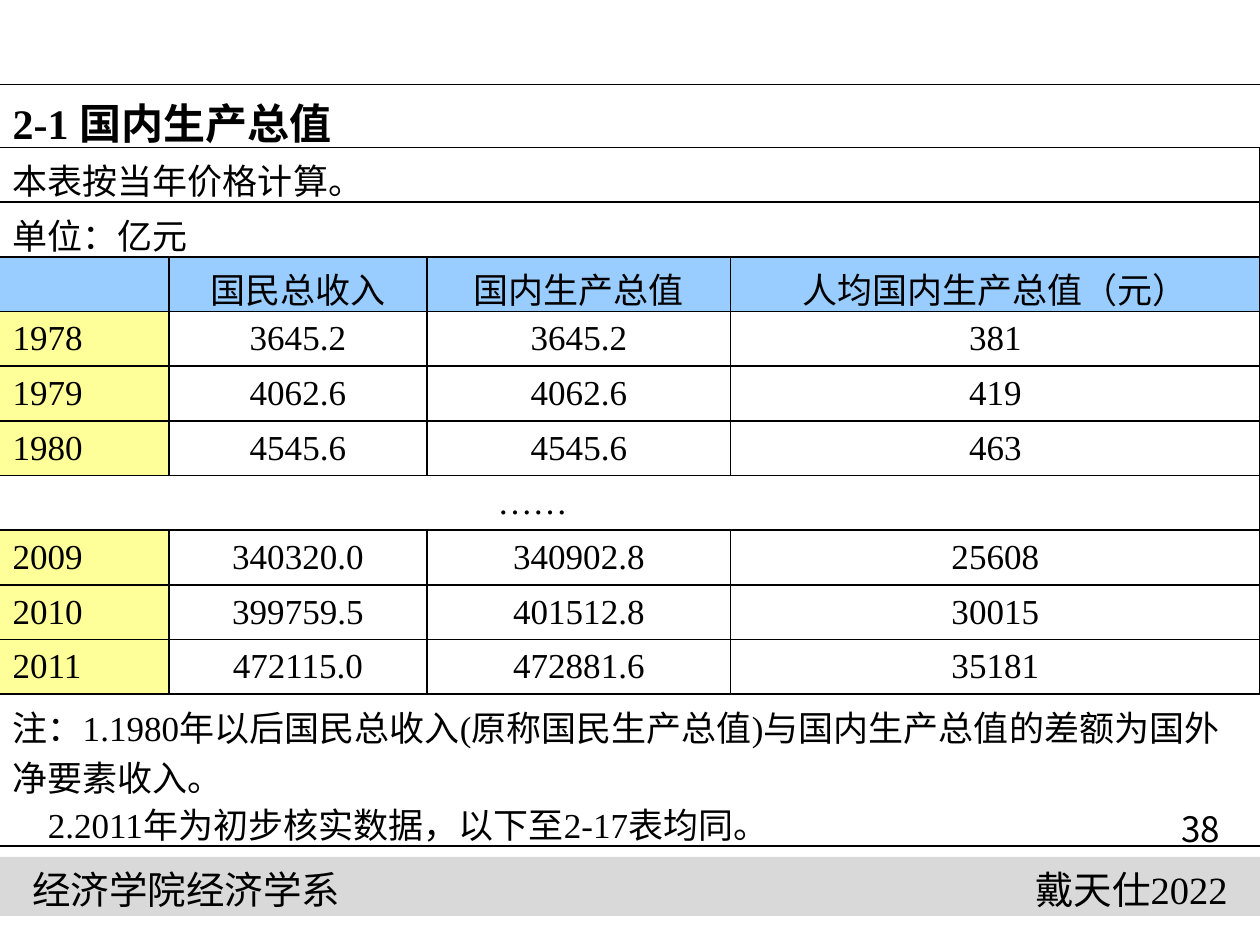
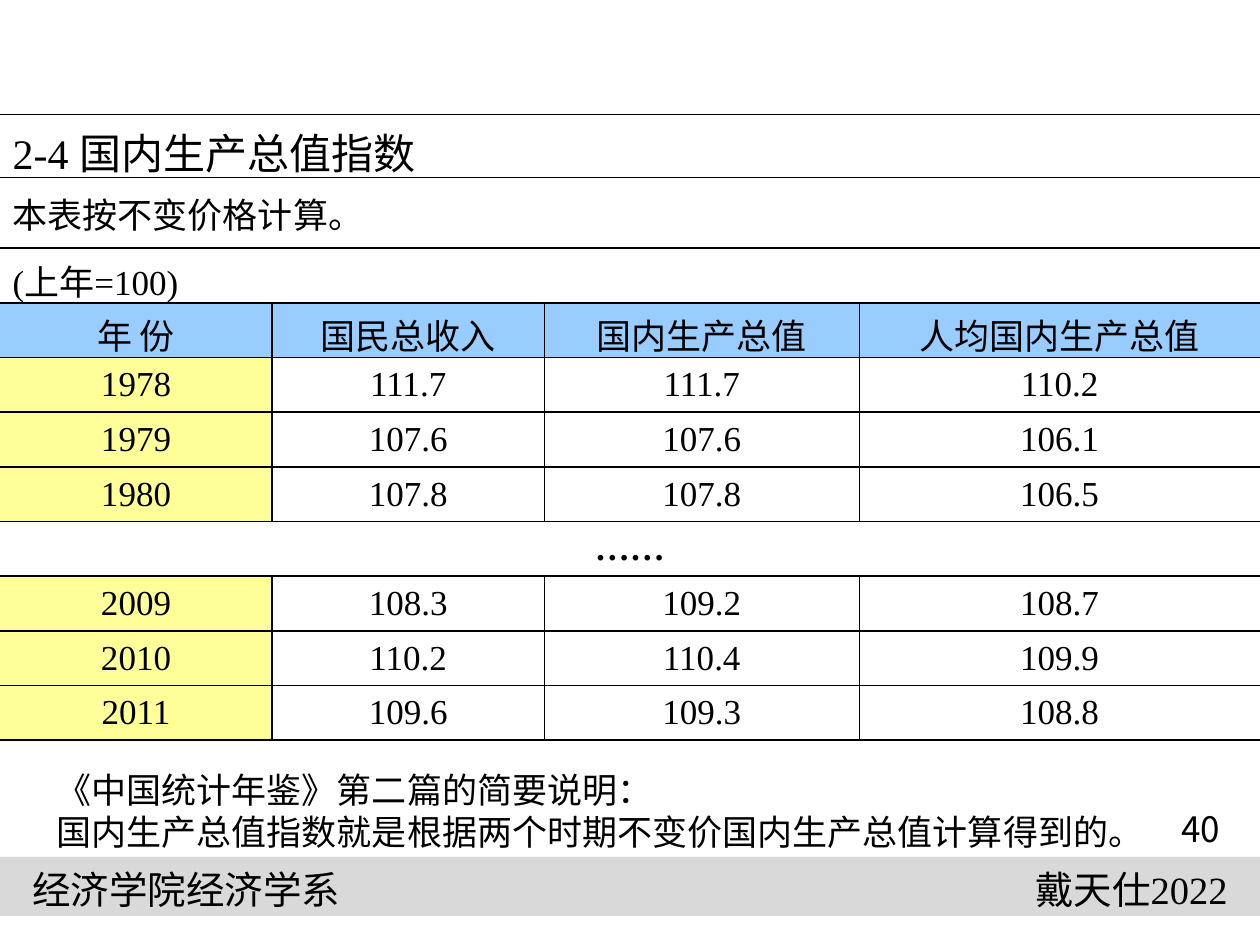
"""Build two slides of national accounts tables with a shared footer band."""
import pptx
import pptx.util
import pptx.oxml
import pptx.oxml.ns
import pptx.dml.color
import pptx.enum.shapes
import pptx.enum.text

Inches = pptx.util.Inches
Pt = pptx.util.Pt
ALIGN = pptx.enum.text.PP_ALIGN
ANCHOR = pptx.enum.text.MSO_ANCHOR

THEME = {
    "ink": "000000", "band": "D9D9D9", "header": "99CCFF", "label": "FFFF99",
    "serif": "Times New Roman", "cjk": "Noto Sans CJK SC", "sans": "Arial",
    "heading": 24, "body": 20, "footer": 22, "border": 1,
}
FOOTER_TOP, FOOTER_HEIGHT = 6.8, 0.47
FOOTER = [
    ((0.16, 3.05), "经济学院经济学系", "cjk", ALIGN.LEFT),
    ((7.42, 2.42), "戴天仕2022", "serif", ALIGN.RIGHT),
]
ROW_HEIGHT = 0.43
HEIGHTS = {"heading": 0.5}

SLIDES = [
    {
        "number": "38", "top": 0.67, "columns": [1.34, 2.05, 2.41, 4.2],
        "heading_bold": True, "label_align": ALIGN.LEFT, "right_edge": True,
        "rows": [
            ("heading", 4, ["2-1 国内生产总值"]),
            ("caption", 3, ["本表按当年价格计算。"]),
            ("caption", 2, ["单位：亿元"]),
            ("header", 1, ["", "国民总收入", "国内生产总值", "人均国内生产总值（元）"]),
            ("data", 1, ["1978", "3645.2", "3645.2", "381"]),
            ("data", 1, ["1979", "4062.6", "4062.6", "419"]),
            ("data", 1, ["1980", "4545.6", "4545.6", "463"]),
            ("gap", 1, ["", "", "……"]),
            ("data", 1, ["2009", "340320.0", "340902.8", "25608"]),
            ("data", 1, ["2010", "399759.5", "401512.8", "30015"]),
            ("data", 1, ["2011", "472115.0", "472881.6", "35181"]),
            ("note", 4, ["注：1.1980年以后国民总收入(原称国民生产总值)与国内生产总值的差额为国外净要素收入。"]),
            ("last note", 4, ["2.2011年为初步核实数据，以下至2-17表均同。"]),
        ],
        "heights": {"note": 0.77},
        "margins": {"gap": 0.56, "last note": 0.38},
        "remarks": [],
    },
    {
        "number": "40", "top": 0.91, "columns": [2.16, 2.16, 2.5, 3.18],
        "heading_bold": False, "label_align": ALIGN.CENTER, "right_edge": False,
        "rows": [
            ("heading", 4, ["2-4 国内生产总值指数"]),
            ("first caption", 2, ["本表按不变价格计算。"]),
            ("caption", 1, ["(上年=100)"]),
            ("header", 1, ["年 份", "国民总收入", "国内生产总值", "人均国内生产总值"]),
            ("data", 1, ["1978", "111.7", "111.7", "110.2"]),
            ("data", 1, ["1979", "107.6", "107.6", "106.1"]),
            ("data", 1, ["1980", "107.8", "107.8", "106.5"]),
            ("gap", 4, ["……"]),
            ("data", 1, ["2009", "108.3", "109.2", "108.7"]),
            ("data", 1, ["2010", "110.2", "110.4", "109.9"]),
            ("data", 1, ["2011", "109.6", "109.3", "108.8"]),
        ],
        "heights": {"first caption": 0.56},
        "margins": {},
        "remarks": ["《中国统计年鉴》第二篇的简要说明：",
                    "国内生产总值指数就是根据两个时期不变价国内生产总值计算得到的。"],
    },
]


def color(name):
    """Return a theme colour."""
    return pptx.dml.color.RGBColor.from_string(THEME[name])


def apply(target, values):
    """Set every attribute in a dict of format values."""
    for name, value in values.items():
        setattr(target, name, value)


def write(para, text, font, size, align, bold=False):
    """Fill a paragraph with one formatted span."""
    para.alignment = align
    span = para.add_run()
    span.text = text
    apply(span.font, {"name": THEME[font], "size": Pt(THEME[size]), "bold": bold})
    span.font.color.rgb = color("ink")


def add_text(page, place, lines, font, size, align, anchor=ANCHOR.TOP):
    """Add a text box with one paragraph per line."""
    frame = page.shapes.add_textbox(*map(Inches, place)).text_frame
    apply(frame, {"word_wrap": True, "vertical_anchor": anchor, "margin_top": Inches(0.07)})
    for index, line in enumerate(lines):
        para = frame.add_paragraph() if index else frame.paragraphs[0]
        para.line_spacing = Pt(THEME[size] * 1.2)
        write(para, line, font, size, align)


def add_footer(page, number):
    """Draw the grey band, its two texts and the page number."""
    band = page.shapes.add_shape(
        pptx.enum.shapes.MSO_SHAPE.RECTANGLE,
        *map(Inches, (0, FOOTER_TOP, 10, FOOTER_HEIGHT)))
    band.shadow.inherit = False
    band.fill.solid()
    band.fill.fore_color.rgb = color("band")
    band.line.fill.background()
    for (left, width), text, font, align in FOOTER:
        add_text(page, (left, FOOTER_TOP, width, FOOTER_HEIGHT), [text], font, "footer", align)
    add_text(page, (9.06, FOOTER_TOP - FOOTER_HEIGHT, 0.94, FOOTER_HEIGHT), [number],
             "cjk", "body", ALIGN.CENTER, ANCHOR.MIDDLE)


def set_borders(cell, sides):
    """Draw the named sides of a cell and clear the others."""
    properties = cell._tc.get_or_add_tcPr()
    for index, side in enumerate("LRTB"):
        paint = (f'<a:solidFill><a:srgbClr val="{THEME["ink"]}"/></a:solidFill>'
                 if side in sides else "<a:noFill/>")
        line = pptx.oxml.parse_xml(
            f'<a:ln{side} {pptx.oxml.ns.nsdecls("a")} w="{Pt(THEME["border"])}">{paint}</a:ln{side}>')
        properties.insert(index, line)


def sides_of(kind, column, last, right_edge):
    """Choose the border sides of a cell from its row kind and column."""
    if "note" in kind:
        return "B" if kind == "last note" else "T"
    sides = "TB"
    if kind in ("header", "data"):
        sides += "L" * (column > 0) + "R" * (column < last)
    if right_edge and column == last and kind != "heading":
        sides += "R"
    return sides


def format_cell(cell, kind, column, text, content):
    """Write and colour one table cell."""
    fill = "header" if kind == "header" else "label" if kind == "data" and column == 0 else None
    if fill:
        cell.fill.solid()
        cell.fill.fore_color.rgb = color(fill)
    else:
        cell.fill.background()
    set_borders(cell, sides_of(kind, column, len(content["columns"]) - 1, content["right_edge"]))
    cell.vertical_anchor = ANCHOR.BOTTOM if "note" in kind else ANCHOR.MIDDLE
    if not text:
        return
    align = ALIGN.LEFT
    if kind in ("header", "data"):
        align = content["label_align"] if fill == "label" else ALIGN.CENTER
    elif kind == "gap" and column == 0:
        align = ALIGN.CENTER
    if kind in content["margins"]:
        cell.margin_left = Inches(content["margins"][kind])
    bold = kind == "heading" and content["heading_bold"] or kind == "gap" and column == 0
    size = "heading" if kind == "heading" else "body"
    write(cell.text_frame.paragraphs[0], text, "serif", size, align, bold)


def add_data_table(page, content):
    """Lay out the statistics table across the page."""
    rows, columns = content["rows"], content["columns"]
    row_heights = {**HEIGHTS, **content["heights"]}
    heights = [row_heights.get(kind, ROW_HEIGHT) for kind, _, _ in rows]
    table = page.shapes.add_table(
        len(rows), len(columns),
        *map(Inches, (0, content["top"], sum(columns), sum(heights)))).table
    apply(table, {"first_row": False, "horz_banding": False})
    for column, width in zip(table.columns, columns):
        column.width = Inches(width)
    for index, (kind, span, texts) in enumerate(rows):
        table.rows[index].height = Inches(heights[index])
        if span > 1:
            table.cell(index, 0).merge(table.cell(index, span - 1))
        padded = texts + [""] * (len(columns) - len(texts))
        for column, text in enumerate(padded):
            format_cell(table.cell(index, column), kind, column, text, content)


def main():
    """Build and save the deck."""
    deck = pptx.Presentation()
    apply(deck, {"slide_width": Inches(10), "slide_height": Inches(7.5)})
    for content in SLIDES:
        page = deck.slides.add_slide(deck.slide_layouts[6])
        add_footer(page, content["number"])
        if content["remarks"]:
            add_text(page, (0.35, 6.03, 9.38, 0.77), content["remarks"], "sans", "body", ALIGN.LEFT)
        add_data_table(page, content)
    deck.save("out.pptx")


if __name__ == "__main__":
    main()
